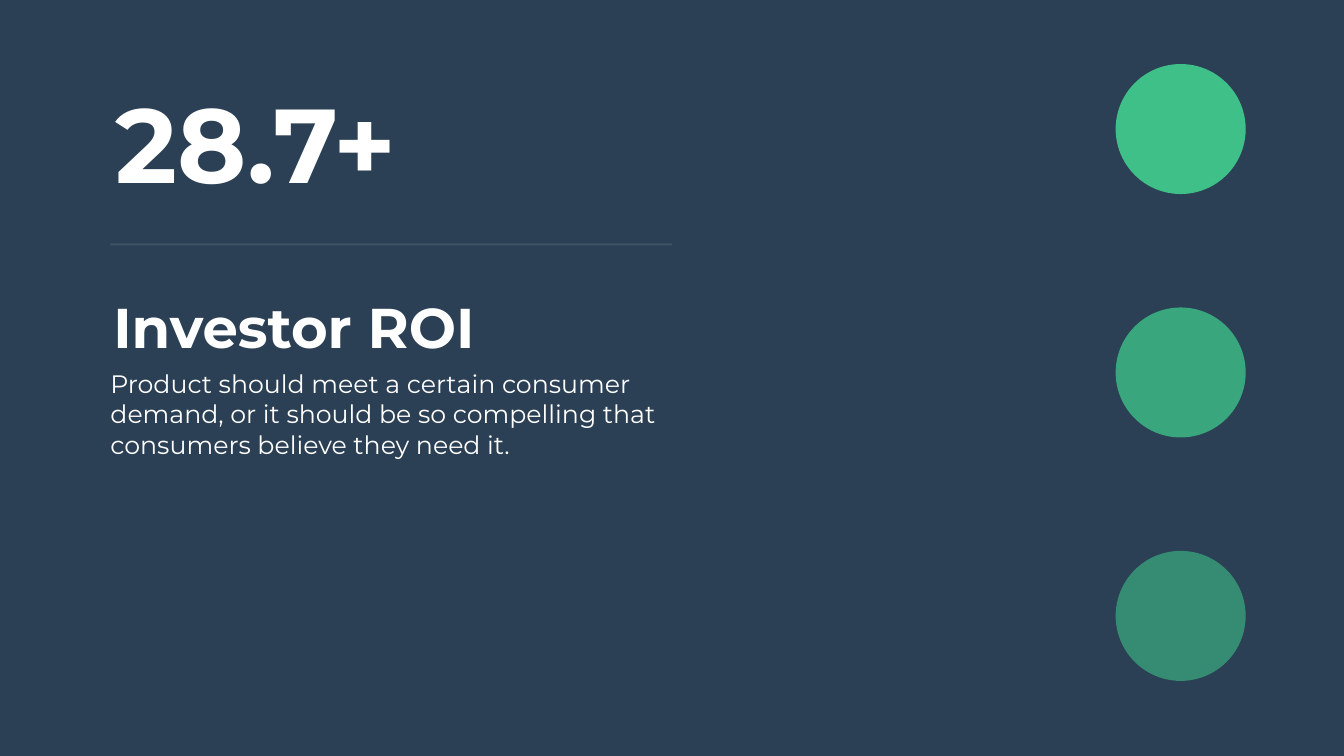
from lxml.etree import SubElement
from pptx import Presentation
from pptx.dml.color import RGBColor
from pptx.enum.shapes import MSO_CONNECTOR as Connector, MSO_SHAPE as Shape
from pptx.enum.text import MSO_AUTO_SIZE as AutoSize
from pptx.oxml.ns import qn
from pptx.util import Inches, Pt

WIDTH, HEIGHT = 26.66, 15


def paint(color_format, color, opacity=100):
    color_format.rgb = RGBColor.from_string(color)
    if opacity < 100:
        element = color_format._xFill.find(qn("a:srgbClr"))
        SubElement(element, qn("a:alpha"), val=str(opacity * 1000))


class SlideBuilder:
    font = "Montserrat"
    navy = "2B4054"
    green = "3EC088"
    white = "FFFFFF"

    def __init__(self, slide):
        self.slide = slide

    def shape(self, kind, left, top, width, height, color, opacity=100):
        shape = self.slide.shapes.add_shape(
            kind, Inches(left), Inches(top), Inches(width), Inches(height))
        shape.shadow.inherit = False
        shape.fill.solid()
        paint(shape.fill.fore_color, color, opacity)
        shape.line.fill.background()

    def text(self, text, left, top, width, height, *, size, bold=False,
             wrap=False, inset=(0.1, 0.05)):
        box = self.slide.shapes.add_textbox(
            Inches(left), Inches(top), Inches(width), Inches(height))
        frame = box.text_frame
        frame.word_wrap = wrap
        frame.auto_size = AutoSize.SHAPE_TO_FIT_TEXT
        frame.margin_left = frame.margin_right = Inches(inset[0])
        frame.margin_top = frame.margin_bottom = Inches(inset[1])
        run = frame.paragraphs[0].add_run()
        run.text = text
        run.font.name = self.font
        run.font.size = Pt(size)
        run.font.bold = bold
        paint(run.font.color, self.white)

    def divider(self, left, right, top, opacity):
        line = self.slide.shapes.add_connector(
            Connector.STRAIGHT, Inches(left), Inches(top), Inches(right), Inches(top))
        line.line.width = Pt(3)
        line.line.fill.solid()
        paint(line.line.fill.fore_color, self.white, opacity)
        SubElement(line._element.spPr, qn("a:effectLst"))


def main():
    presentation = Presentation()
    presentation.slide_width = Inches(WIDTH)
    presentation.slide_height = Inches(HEIGHT)
    builder = SlideBuilder(presentation.slides.add_slide(presentation.slide_layouts[6]))

    builder.shape(Shape.RECTANGLE, 0, 0, WIDTH, HEIGHT, builder.navy)
    builder.text("28.7+", 2.19, 1.5, 6.29, 2.63, size=150, bold=True)
    for index, opacity in enumerate((100, 80, 60)):
        builder.shape(Shape.OVAL, 22.13, 1.27 + index * 4.83, 2.58, 2.58,
                      builder.green, opacity)
    builder.text("Investor ROI", 2.15, 5.75, 7.75, 1.45, size=80, bold=True)
    builder.text(
        "Product should meet a certain consumer demand, or it should be so "
        "compelling that consumers believe they need it.",
        1.95, 7.19, 11.38, 2.06, size=36, wrap=True, inset=(0.24, 0.12))
    builder.divider(2.19, 13.33, 4.85, opacity=10)

    presentation.save("out.pptx")


if __name__ == "__main__":
    main()
